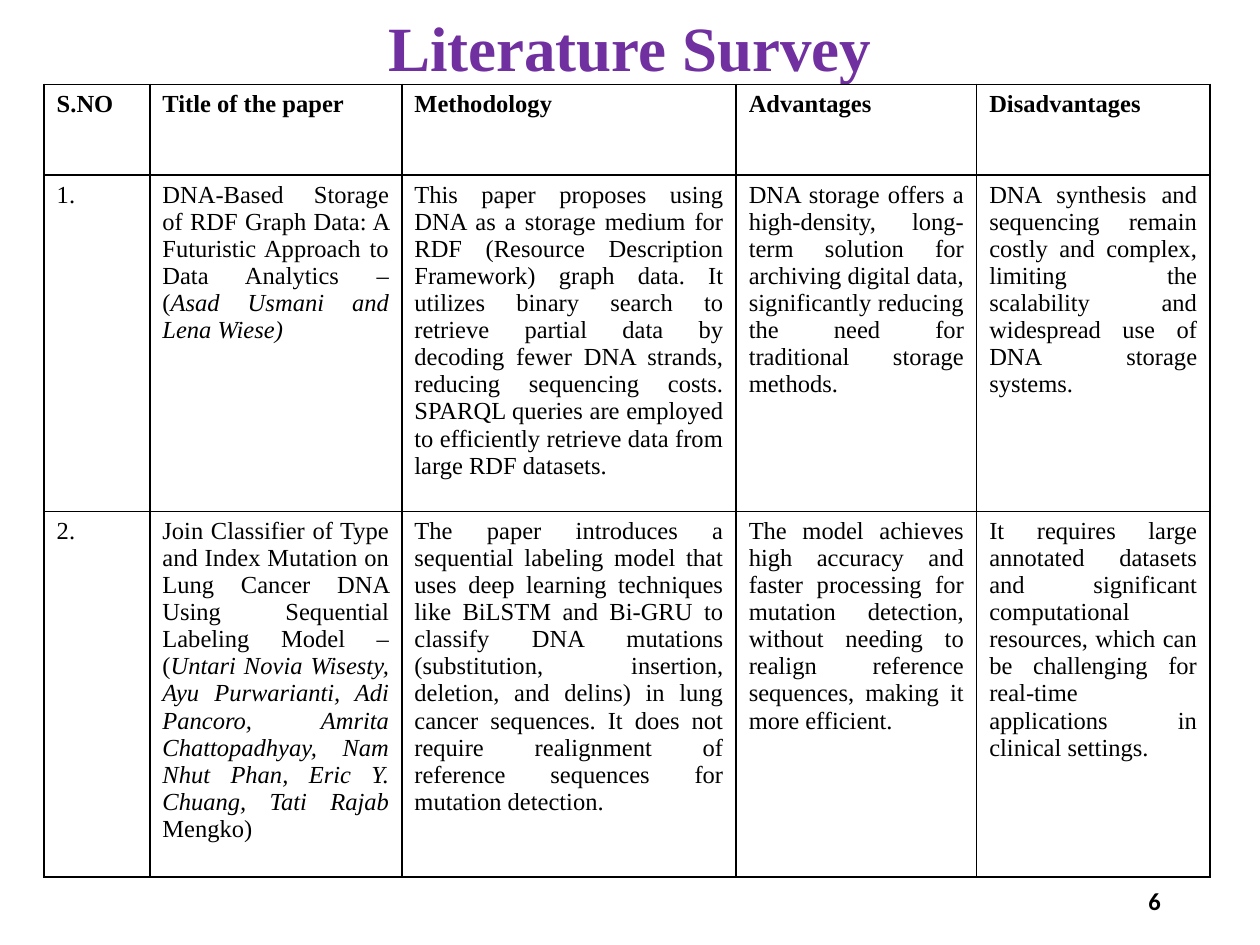
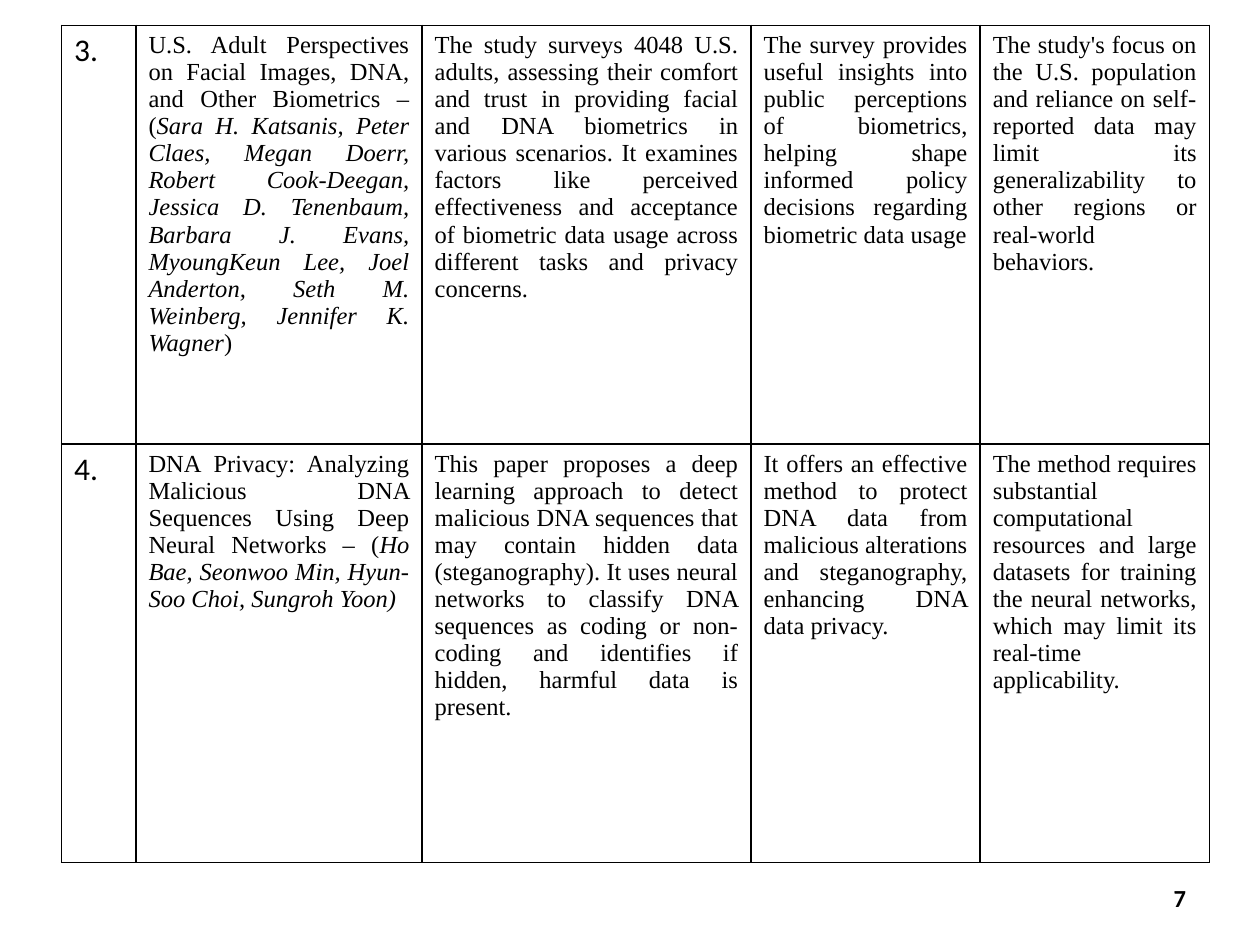
from dataclasses import dataclass

from lxml.etree import SubElement
from pptx import Presentation
from pptx.dml.color import RGBColor
from pptx.enum.text import MSO_ANCHOR as Anchor, PP_ALIGN as Align
from pptx.oxml.ns import qn
from pptx.util import Cm, Pt


# Theme shared by both slides
@dataclass(frozen=True)
class Theme:
    serif: str = "Times New Roman"
    sans: str = "Calibri"
    black: str = "000000"
    white: str = "FFFFFF"
    purple: str = "7030A0"
    title_size: int = 36
    body_size: int = 14
    number_size: int = 18
    border: float = 1


THEME = Theme()


@dataclass(frozen=True)
class TextStyle:
    font: str = THEME.serif
    size: int = THEME.body_size
    color: str = THEME.black
    bold: bool = False


BODY = TextStyle()
HEADER = TextStyle(bold=True)
NUMBER = TextStyle(THEME.sans, THEME.number_size)
TITLE = TextStyle(size=THEME.title_size, color=THEME.purple, bold=True)
PAGE = TextStyle(THEME.sans, bold=True)


# Lengths are in centimetres
@dataclass(frozen=True)
class Label:
    text: str
    box: tuple[float, float, float, float]
    align: Align
    style: TextStyle
    line_spacing: float = 1


@dataclass(frozen=True)
class SurveyTable:
    left: float
    top: float
    col_widths: tuple[float, ...]
    row_heights: tuple[float, ...]
    rows: tuple[tuple[str, ...], ...]
    number_style: TextStyle = BODY
    has_header: bool = False


@dataclass(frozen=True)
class SurveySlide:
    labels: tuple[Label, ...]
    table: SurveyTable


def page_number(text: str, left: float, top: float) -> Label:
    return Label(text, (left, top, 5.72, 1.02), Align.RIGHT, PAGE)


# Slide content; asterisks enclose italic author names
SLIDES = (
    SurveySlide(
        labels=(
            Label("Literature Survey", (1.75, 0.3, 21.9, 1.47), Align.CENTER, TITLE, 0.9),
            page_number("6", 17.93, 17.65),
        ),
        table=SurveyTable(
            0.89, 1.7, (2.13, 5.08, 6.74, 4.85, 4.7), (1.83, 6.25, 6.25),
            rows=(
                ("S.NO", "Title of the paper", "Methodology", "Advantages", "Disadvantages"),
                (
                    "1.",
                    "DNA-Based Storage of RDF Graph Data: A Futuristic Approach to Data "
                    "Analytics – (*Asad Usmani and Lena Wiese)*",
                    "This paper proposes using DNA as a storage medium for RDF (Resource "
                    "Description Framework) graph data. It utilizes binary search to retrieve "
                    "partial data by decoding fewer DNA strands, reducing sequencing costs. "
                    "SPARQL queries are employed to efficiently retrieve data from large RDF "
                    "datasets.",
                    "DNA storage offers a high-density, long-term solution for archiving "
                    "digital data, significantly reducing the need for traditional storage "
                    "methods.",
                    "DNA synthesis and sequencing remain costly and complex, limiting the "
                    "scalability and widespread use of DNA storage systems.",
                ),
                (
                    "2.",
                    "Join Classifier of Type and Index Mutation on Lung Cancer DNA Using "
                    "Sequential Labeling Model – (*Untari Novia Wisesty, Ayu Purwarianti, Adi "
                    "Pancoro, Amrita Chattopadhyay, Nam Nhut Phan, Eric Y. Chuang, Tati Rajab "
                    "*Mengko)",
                    "The paper introduces a sequential labeling model that uses deep learning "
                    "techniques like BiLSTM and Bi-GRU to classify DNA mutations "
                    "(substitution, insertion, deletion, and delins) in lung cancer sequences. "
                    "It does not require realignment of reference sequences for mutation "
                    "detection.",
                    "The model achieves high accuracy and faster processing for mutation "
                    "detection, without needing to realign reference sequences, making it more "
                    "efficient.",
                    "It requires large annotated datasets and significant computational "
                    "resources, which can be challenging for real-time applications in "
                    "clinical settings.",
                ),
            ),
            has_header=True,
        ),
    ),
    SurveySlide(
        labels=(page_number("7", 18.44, 17.58),),
        table=SurveyTable(
            1.24, 0.51, (1.5, 5.77, 6.63, 4.62, 4.62), (8.44, 8.44),
            rows=(
                (
                    "3.",
                    "U.S. Adult Perspectives on Facial Images, DNA, and Other Biometrics – "
                    "(*Sara H. Katsanis, Peter Claes, Megan Doerr, Robert Cook-Deegan, Jessica "
                    "D. Tenenbaum, Barbara J. Evans, MyoungKeun Lee, Joel Anderton, Seth M. "
                    "Weinberg, Jennifer K. Wagner*)",
                    "The study surveys 4048 U.S. adults, assessing their comfort and trust in "
                    "providing facial and DNA biometrics in various scenarios. It examines "
                    "factors like perceived effectiveness and acceptance of biometric data "
                    "usage across different tasks and privacy concerns.",
                    "The survey provides useful insights into public perceptions of "
                    "biometrics, helping shape informed policy decisions regarding biometric "
                    "data usage",
                    "The study's focus on the U.S. population and reliance on self-reported "
                    "data may limit its generalizability to other regions or real-world "
                    "behaviors.",
                ),
                (
                    "4.",
                    "DNA Privacy: Analyzing Malicious DNA Sequences Using Deep Neural Networks "
                    "– (*Ho Bae, Seonwoo Min, Hyun-Soo Choi, Sungroh Yoon)*",
                    "This paper proposes a deep learning approach to detect malicious DNA "
                    "sequences that may contain hidden data (steganography). It uses neural "
                    "networks to classify DNA sequences as coding or non-coding and identifies "
                    "if hidden, harmful data is present.",
                    "It offers an effective method to protect DNA data from malicious "
                    "alterations and steganography, enhancing DNA data privacy.",
                    "The method requires substantial computational resources and large "
                    "datasets for training the neural networks, which may limit its real-time "
                    "applicability.",
                ),
            ),
            number_style=NUMBER,
        ),
    ),
)


# Drawing functions
def style_run(r, style: TextStyle, italic: bool = False) -> None:
    r.font.name = style.font
    r.font.size = Pt(style.size)
    r.font.color.rgb = RGBColor.from_string(style.color)
    r.font.bold = style.bold
    r.font.italic = italic


def draw_label(s, label: Label) -> None:
    tf = s.shapes.add_textbox(*map(Cm, label.box)).text_frame
    tf.word_wrap = True
    tf.vertical_anchor = Anchor.MIDDLE
    tf.text = label.text
    p = tf.paragraphs[0]
    p.alignment = label.align
    p.line_spacing = label.line_spacing
    style_run(p.runs[0], label.style)


def draw_borders(cell) -> None:
    tc_pr = cell._tc.get_or_add_tcPr()
    for side in ("lnL", "lnR", "lnT", "lnB"):
        ln = SubElement(tc_pr, qn(f"a:{side}"), w=str(Pt(THEME.border)))
        fill = SubElement(ln, qn("a:solidFill"))
        SubElement(fill, qn("a:srgbClr"), val=THEME.black)


def fill_cell(cell, text: str, style: TextStyle) -> None:
    draw_borders(cell)
    cell.fill.solid()
    cell.fill.fore_color.rgb = RGBColor.from_string(THEME.white)
    p = cell.text_frame.paragraphs[0]
    p.alignment = Align.JUSTIFY
    for i, part in enumerate(text.split("*")):
        if part:
            r = p.add_run()
            r.text = part
            style_run(r, style, italic=i % 2 == 1)


def draw_table(s, survey: SurveyTable) -> None:
    widths, heights = survey.col_widths, survey.row_heights
    table = s.shapes.add_table(
        len(heights), len(widths), Cm(survey.left), Cm(survey.top),
        Cm(sum(widths)), Cm(sum(heights)),
    ).table
    table.first_row = survey.has_header
    table.horz_banding = False
    for column, width in zip(table.columns, widths):
        column.width = Cm(width)
    for i, (row, height) in enumerate(zip(table.rows, heights)):
        row.height = Cm(height)
        for j, text in enumerate(survey.rows[i]):
            if survey.has_header and i == 0:
                style = HEADER
            else:
                style = survey.number_style if j == 0 else BODY
            fill_cell(table.cell(i, j), text, style)


def main() -> None:
    prs = Presentation()
    prs.slide_width, prs.slide_height = Cm(25.4), Cm(19.05)
    blank = prs.slide_layouts[6]
    for content in SLIDES:
        s = prs.slides.add_slide(blank)
        for label in content.labels:
            draw_label(s, label)
        draw_table(s, content.table)
    prs.save("out.pptx")


if __name__ == "__main__":
    main()
